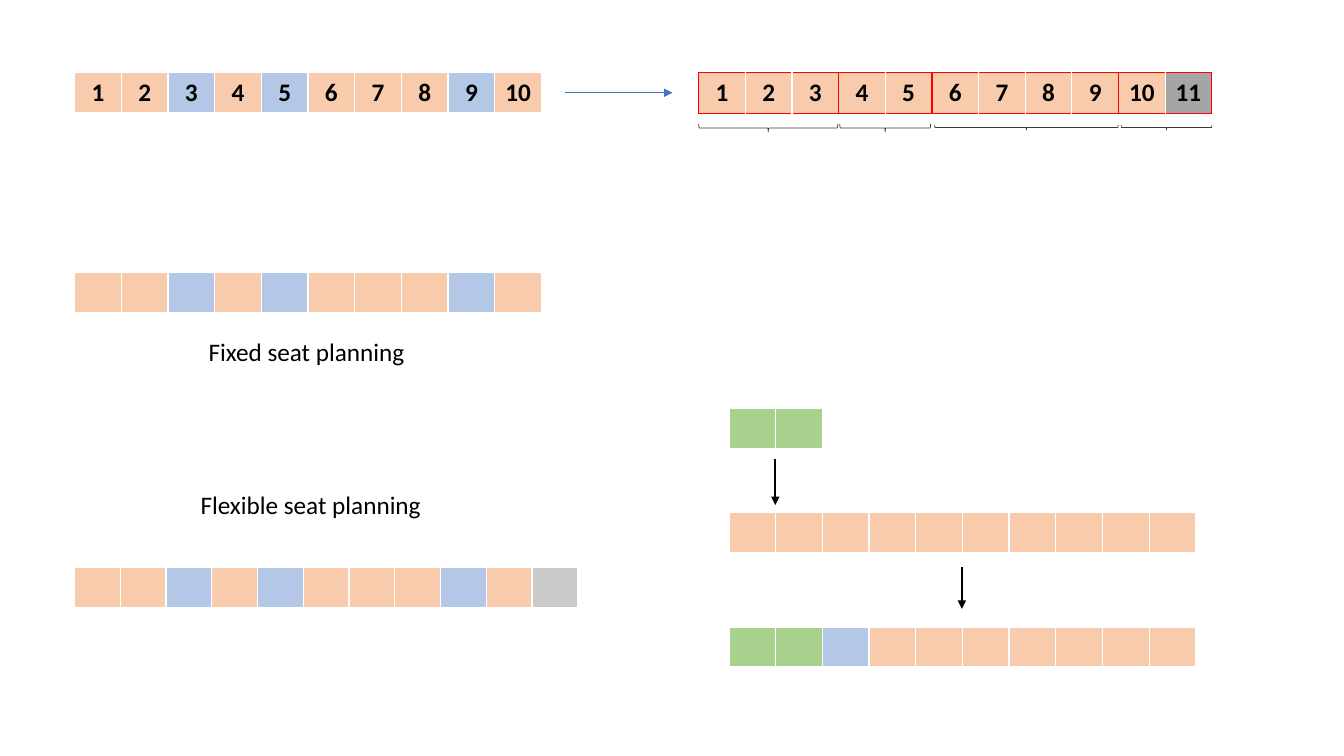
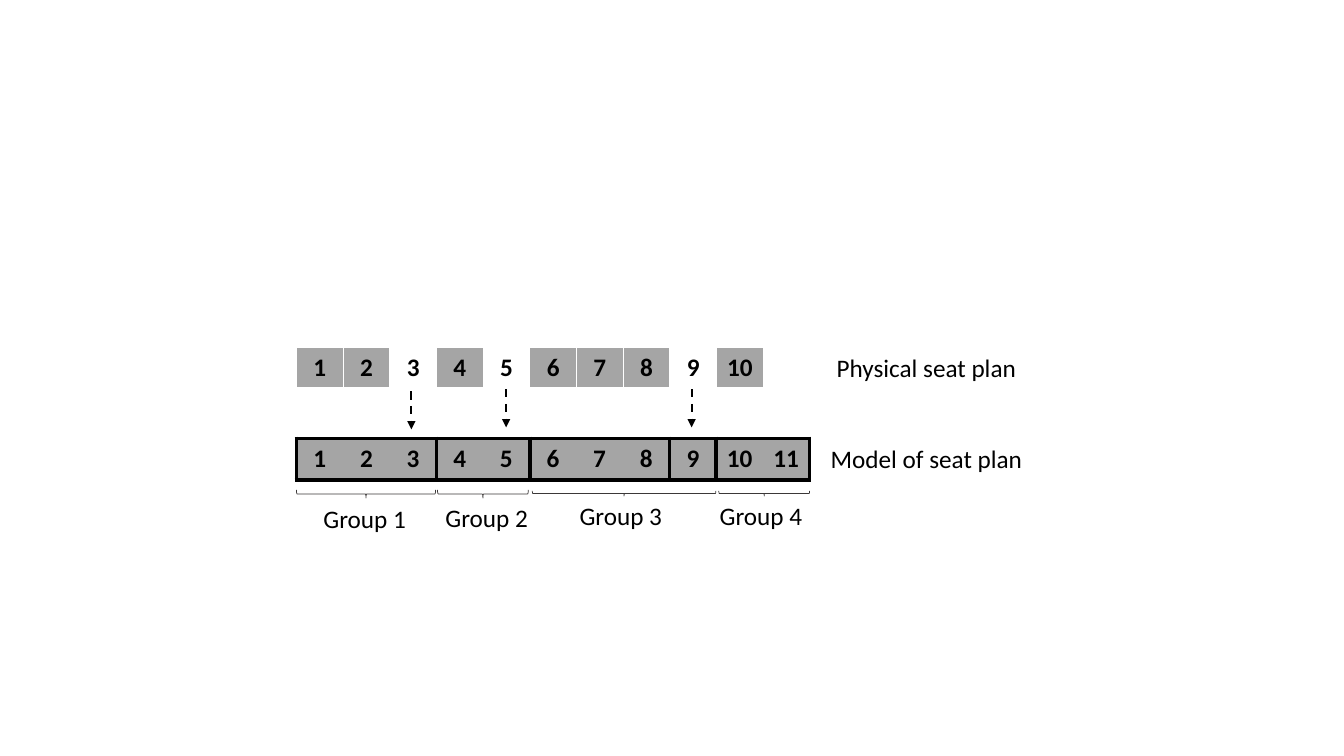
from itertools import accumulate

from lxml.etree import SubElement as Sub
from pptx import Presentation
from pptx.dml.color import RGBColor
from pptx.enum.dml import MSO_LINE as Dash
from pptx.enum.shapes import MSO_CONNECTOR as Link, MSO_SHAPE as Form
from pptx.enum.text import MSO_AUTO_SIZE as Fit, PP_ALIGN as Align
from pptx.oxml.ns import qn
from pptx.util import Pt

# Shared scale, colours and formats
PX = 9144  # 100 px to the inch
ROW = 41
hue = RGBColor.from_string
BLACK, WHITE, RED, BLUE, BRACE = "000000", "FFFFFF", "FF0000", "4472C4", "3B3838"
SEATS = {"o": "F8CBAD", "b": "B4C7E7", "g": "A9D18E", "s": "C9C9C9",
         "d": "A5A5A5", "w": WHITE}
FONT = {"name": "Calibri", "size": Pt(18)}
FLAGS = {"first_row": False, "horz_banding": False}

# Border looks: outer edge, bottom edge and line between seats of one group
PLAIN = {"edge": (WHITE, 1), "base": (WHITE, 3), "inner": (WHITE, 1)}
THIN = {"edge": (RED, 1), "base": (RED, 1), "inner": (WHITE, 1)}
BOLD = {"edge": (BLACK, 3), "base": (BLACK, 3), "inner": None}

# Braces under the model row: left, top, width, height
BRACES = [(693, 123, 138, 8), (833, 123, 90, 8),
          (927, 124, 182, 5), (1112, 124, 90, 5)]

# rows: left, top, width, seat colours, numbered, group sizes, look
# arrows: start x, start y, end x, end y, colour, weight, dash
# labels: text, left, top, width, wrap
SLIDES = [
    {
        "rows": [
            (74, 72, 463, "oobobooobo", True, [10], PLAIN),
            (693, 72, 509, "o" * 10 + "d", True, [3, 2, 4, 2], THIN),
            (74, 270, 463, "oobobooobo", False, [10], PLAIN),
            (723, 508, 463, "o" * 10, False, [10], PLAIN),
            (723, 405, 93, "gg", False, [2], PLAIN),
            (74, 563, 499, "oobobooobos", False, [11], PLAIN),
            (723, 622, 463, "ggb" + "o" * 7, False, [10], PLAIN),
        ],
        "arrows": [
            (560, 92, 667, 92, BLUE, 0.5, None),
            (769, 455, 769, 501, BLACK, 1.5, None),
            (954, 563, 954, 604, BLACK, 1.5, None),
        ],
        "labels": [
            ("Fixed seat planning", 197, 329, 217, False),
            ("Flexible seat planning", 189, 481, 241, False),
        ],
        "shift": (0, 0),
    },
    {
        "rows": [
            (294, 345, 463, "ddwdwdddwd", True, [10], PLAIN),
            (294, 435, 509, "d" * 11, True, [3, 2, 3, 1, 2], BOLD),
        ],
        "arrows": [(x, y, x, y + 38, BLACK, 1.5, Dash.DASH)
                   for x, y in [(408, 388), (502, 386), (686, 386)]],
        "labels": [
            ("Group 1", 311, 494, 103, False),
            ("Group 2", 432, 493, 103, False),
            ("Group 3", 565, 491, 136, True),
            ("Group 4", 704, 491, 106, True),
            ("Physical seat plan", 820, 345, 200, False),
            ("Model of seat plan", 814, 435, 212, False),
        ],
        "shift": (-399, 363),
    },
]


def rule(props, tag, pen):
    """Add one cell border; no pen means no line."""
    line = Sub(props, qn(tag), w=str(Pt(pen[1] if pen else 1)))
    if pen:
        Sub(Sub(line, qn("a:solidFill")), qn("a:srgbClr"), val=pen[0])
    else:
        Sub(line, qn("a:noFill"))


def style(item, values):
    for key, value in values.items():
        setattr(item, key, value)


deck = Presentation()
style(deck, {"slide_width": 1333 * PX, "slide_height": 750 * PX})

for plan in SLIDES:
    slide = deck.slides.add_slide(deck.slide_layouts[6])
    shapes = slide.shapes

    # Seat rows
    for x, y, w, seats, named, groups, look in plan["rows"]:
        count = len(seats)
        table = shapes.add_table(1, count, x * PX, y * PX, w * PX, ROW * PX).table
        style(table, FLAGS)
        cuts = {0, *accumulate(groups)}
        for i, seat in enumerate(seats):
            table.columns[i].width = w * PX // count
            cell = table.cell(0, i)
            props = cell._tc.get_or_add_tcPr()
            left, right = (look["edge" if n in cuts else "inner"] for n in (i, i + 1))
            for tag, pen in [("a:lnL", left), ("a:lnR", right),
                             ("a:lnT", look["edge"]), ("a:lnB", look["base"])]:
                rule(props, tag, pen)
            cell.fill.solid()
            cell.fill.fore_color.rgb = hue(SEATS[seat])
            if named:
                para = cell.text_frame.paragraphs[0]
                para.alignment = Align.CENTER
                run = para.add_run()
                run.text = str(i + 1)
                style(run.font, {**FONT, "bold": True})
                run.font.color.rgb = hue(BLACK)

    # Arrows
    for x1, y1, x2, y2, tint, weight, dash in plan["arrows"]:
        arrow = shapes.add_connector(Link.STRAIGHT, x1 * PX, y1 * PX, x2 * PX, y2 * PX)
        arrow.line.color.rgb = hue(tint)
        style(arrow.line, {"width": Pt(weight), "dash_style": dash})
        Sub(arrow.line._get_or_add_ln(), qn("a:tailEnd"), type="triangle")
        Sub(arrow._element.spPr, qn("a:effectLst"))

    # Braces, turned a quarter so that they point down
    dx, dy = plan["shift"]
    for x, y, w, h in BRACES:
        turn = (w - h) * PX // 2
        brace = shapes.add_shape(Form.LEFT_BRACE, (x + dx) * PX + turn,
                                 (y + dy) * PX - turn, h * PX, w * PX)
        brace.rotation = 270
        brace.shadow.inherit = False
        brace.fill.background()
        brace.line.color.rgb = hue(BRACE)
        brace.line.width = Pt(0.5)

    # Labels
    for text, x, y, w, wrap in plan["labels"]:
        frame = shapes.add_textbox(x * PX, y * PX, w * PX, 40 * PX).text_frame
        style(frame, {"word_wrap": wrap, "auto_size": Fit.SHAPE_TO_FIT_TEXT})
        run = frame.paragraphs[0].add_run()
        run.text = text
        style(run.font, FONT)
        run.font.color.rgb = hue(BLACK)

deck.save("out.pptx")
